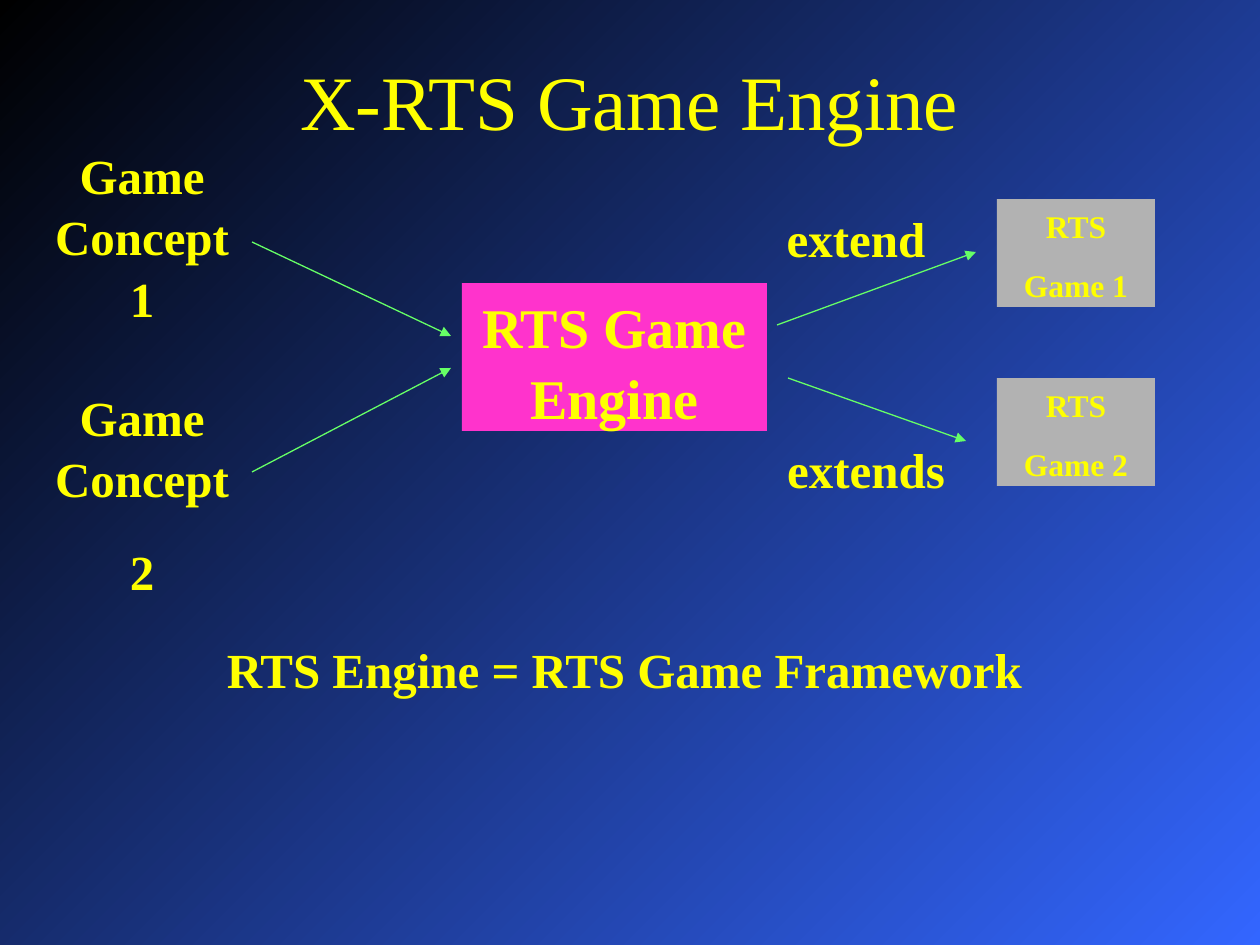
import pptx
import pptx.util
import pptx.dml.color
import pptx.enum.shapes
import pptx.enum.text
import pptx.oxml
import pptx.oxml.ns

YELLOW = pptx.dml.color.RGBColor(0xFF, 0xFF, 0x00)
GREEN = pptx.dml.color.RGBColor(0x66, 0xFF, 0x66)
PINK = pptx.dml.color.RGBColor(0xFF, 0x33, 0xCC)
GRAY = pptx.dml.color.RGBColor(0xB2, 0xB2, 0xB2)
BLUE = pptx.dml.color.RGBColor(0x33, 0x66, 0xFF)
BLACK = pptx.dml.color.RGBColor(0x00, 0x00, 0x00)

PX_PER_INCH = 126
FONT = "Times New Roman"
CENTER = pptx.enum.text.PP_ALIGN.CENTER
FRAME_FORMAT = {
    "word_wrap": True,
    "auto_size": pptx.enum.text.MSO_AUTO_SIZE.SHAPE_TO_FIT_TEXT,
    "vertical_anchor": pptx.enum.text.MSO_ANCHOR.TOP,
}
TITLE_FORMAT = {
    "word_wrap": True,
    "auto_size": pptx.enum.text.MSO_AUTO_SIZE.NONE,
    "vertical_anchor": pptx.enum.text.MSO_ANCHOR.MIDDLE,
}


def px(length):
    return pptx.util.Emu(round(length * 914400 / PX_PER_INCH))


def apply(target, values):
    for attribute, value in values.items():
        setattr(target, attribute, value)


def write(holder, lines, size, bold=True, frame_format=FRAME_FORMAT):
    frame = holder.text_frame
    frame.text = "\n".join(lines)
    apply(frame, frame_format)
    for index, paragraph in enumerate(frame.paragraphs):
        gap = pptx.util.Pt(round(size * 0.625, 1)) if index else pptx.util.Pt(0)
        apply(paragraph, {"alignment": CENTER, "space_before": gap, "line_spacing": 1.05})
        for run in paragraph.runs:
            apply(run.font, {"name": FONT, "size": pptx.util.Pt(size), "bold": bold})
            run.font.color.rgb = YELLOW


def add_label(slide, box, lines, size=28):
    write(slide.shapes.add_textbox(*map(px, box)), lines, size)


def add_block(slide, box, lines, size, color):
    block = slide.shapes.add_shape(pptx.enum.shapes.MSO_SHAPE.RECTANGLE, *map(px, box))
    block.shadow.inherit = False
    block.fill.solid()
    block.fill.fore_color.rgb = color
    block.line.fill.background()
    write(block, lines, size)


def add_arrow(slide, start, end):
    arrow = slide.shapes.add_connector(
        pptx.enum.shapes.MSO_CONNECTOR.STRAIGHT, *map(px, start + end))
    arrow.line.color.rgb = GREEN
    arrow.line.width = pptx.util.Pt(0.75)
    head = pptx.oxml.parse_xml(
        f'<a:tailEnd {pptx.oxml.ns.nsdecls("a")} type="triangle"/>')
    arrow.line._get_or_add_ln().append(head)
    arrow._element.spPr.append(
        pptx.oxml.parse_xml(f'<a:effectLst {pptx.oxml.ns.nsdecls("a")}/>'))


def paint_background(slide):
    fill = slide.background.fill
    fill.gradient()
    fill.gradient_angle = 135
    for stop, position, color in zip(fill.gradient_stops, (0, 1), (BLUE, BLACK)):
        stop.position = position
        stop.color.rgb = color


def place_title(slide, box):
    title = slide.shapes.title
    apply(title, dict(zip(("left", "top", "width", "height"), map(px, box))))
    write(title, ["X-RTS Game Engine"], 44, False, TITLE_FORMAT)
    title.text_frame.paragraphs[0].line_spacing = 1.0


def place_concepts(slide, box):
    left, top, width, height = box
    label_width = 220
    add_label(slide, (left, top, label_width, 189), ["Game Concept 1"])
    add_label(slide, (left, top + 242, label_width, 220), ["Game Concept", "2"])
    for start, end in ((106, 200), (336, 232)):
        add_arrow(slide, (left + label_width, top + start), (left + width, top + end))


def place_engine(slide, box):
    add_block(slide, box, ["RTS Game Engine"], 32, PINK)


def place_games(slide, box):
    left, top, width, height = box
    game_width, game_height = 158, 108
    step = height - game_height
    for index in range(2):
        game_box = (left + width - game_width, top + index * step, game_width, game_height)
        add_block(slide, game_box, ["RTS", f"Game {index + 1}"], 18, GRAY)
    add_label(slide, (left, top, 220, 72), ["extend"])
    add_label(slide, (left + 10, top + 231, 220, 72), ["extends"])
    add_arrow(slide, (left + 31, top + 126), (left + 230, top + 53))
    add_arrow(slide, (left + 42, top + 179), (left + 220, top + 242))


def place_summary(slide, box):
    add_label(slide, box, ["RTS Engine = RTS Game Framework "])


def main():
    deck = pptx.Presentation()
    apply(deck, {"slide_width": px(1260), "slide_height": px(945)})
    slide = deck.slides.add_slide(deck.slide_layouts[5])
    paint_background(slide)
    place_title(slide, (94, 42, 1071, 116))
    place_concepts(slide, (32, 136, 419, 462))
    place_engine(slide, (462, 283, 305, 148))
    place_games(slide, (746, 199, 409, 287))
    place_summary(slide, (179, 630, 903, 72))
    deck.save("out.pptx")


if __name__ == "__main__":
    main()
